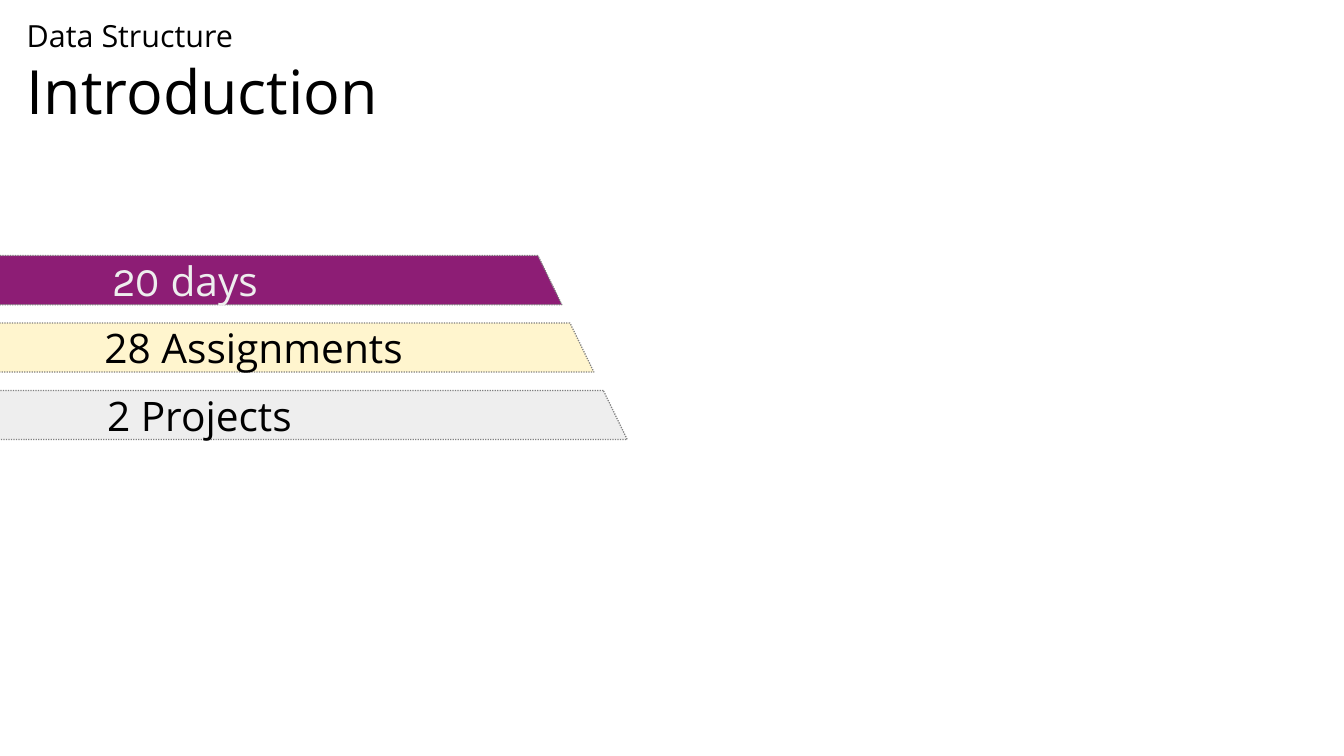
"""Build the Data Structure introduction slide with three slanted bars."""
import pptx
import pptx.util
import pptx.dml.color
import pptx.enum.dml
import pptx.enum.text

Pt = pptx.util.Pt
RGB = pptx.dml.color.RGBColor.from_string

THEME = {
    "font": "Open Sans", "digit_font": "Karla",
    "black": RGB("000000"), "pale": RGB("EEEEEE"), "purple": RGB("8D1D75"),
    "cream": RGB("FFF5CE"), "outline": RGB("808080"),
    "kicker_size": Pt(18), "title_size": Pt(36), "bar_size": Pt(24),
}

TITLE_LINES = [("Data Structure", "kicker_size"), ("Introduction", "title_size")]
BARS = [
    {"spans": [("20", "digit_font"), (" days", "font")], "fill": "purple",
     "ink": "pale", "left": -18.7, "right": 317.6, "text_left": 66.3},
    {"spans": [("28 Assignments", "font")], "fill": "cream",
     "ink": "black", "left": -17.5, "right": 336.5, "text_left": 61.7},
    {"spans": [("2 Projects", "font")], "fill": "pale",
     "ink": "black", "left": -16, "right": 356.2, "text_left": 63.2},
]
BAR_TOP, BAR_PITCH, BAR_HEIGHT, SLANT = 150.9, 39.8, 29, 14.1


def apply(target, values):
    """Set each attribute in values on target."""
    for name, value in values.items():
        setattr(target, name, value)


def add_span(para, text, size, font, ink):
    """Append one formatted run to a paragraph."""
    span = para.add_run()
    span.text = text
    apply(span.font, {"size": THEME[size], "name": THEME[font]})
    span.font.color.rgb = THEME[ink]


def format_frame(frame, inset):
    """Anchor a text frame in the middle, left aligned, with a left inset."""
    apply(frame, {
        "margin_left": Pt(inset), "margin_right": 0, "margin_top": 0,
        "margin_bottom": 0, "word_wrap": True,
        "auto_size": pptx.enum.text.MSO_AUTO_SIZE.NONE,
        "vertical_anchor": pptx.enum.text.MSO_ANCHOR.MIDDLE,
    })
    para = frame.paragraphs[0]
    para.alignment = pptx.enum.text.PP_ALIGN.LEFT
    return para


def add_title(page):
    """Fill the title placeholder with its two lines."""
    box = page.shapes.title
    apply(box, {"left": Pt(15.8), "top": Pt(5.8), "width": Pt(553), "height": Pt(73.4)})
    para = format_frame(box.text_frame, 0)
    for index, (text, size) in enumerate(TITLE_LINES):
        if index:
            para.add_line_break()
        add_span(para, text, size, "font", "black")


def add_bar(page, bar, top):
    """Draw one slanted bar with its label."""
    left, right, bottom = bar["left"], bar["right"], top + BAR_HEIGHT
    corners = [(left, top), (left + SLANT, bottom), (right + SLANT, bottom)]
    outline = page.shapes.build_freeform(Pt(right), Pt(top))
    outline.add_line_segments([(Pt(x), Pt(y)) for x, y in corners], close=True)
    shape = outline.convert_to_shape()
    shape.shadow.inherit = False
    shape.fill.solid()
    shape.fill.fore_color.rgb = THEME[bar["fill"]]
    shape.line.color.rgb = THEME["outline"]
    apply(shape.line, {"width": Pt(0),
                       "dash_style": pptx.enum.dml.MSO_LINE.ROUND_DOT})
    para = format_frame(shape.text_frame, bar["text_left"] - left)
    for text, font in bar["spans"]:
        add_span(para, text, "bar_size", font, bar["ink"])


def main():
    """Create the deck and save it."""
    deck = pptx.Presentation()
    apply(deck, {"slide_width": Pt(793.44), "slide_height": Pt(446.4)})
    page = deck.slides.add_slide(deck.slide_layouts.get_by_name("Title Only"))
    for row, bar in enumerate(BARS):
        add_bar(page, bar, BAR_TOP + row * BAR_PITCH)
    add_title(page)
    deck.save("out.pptx")


if __name__ == "__main__":
    main()
